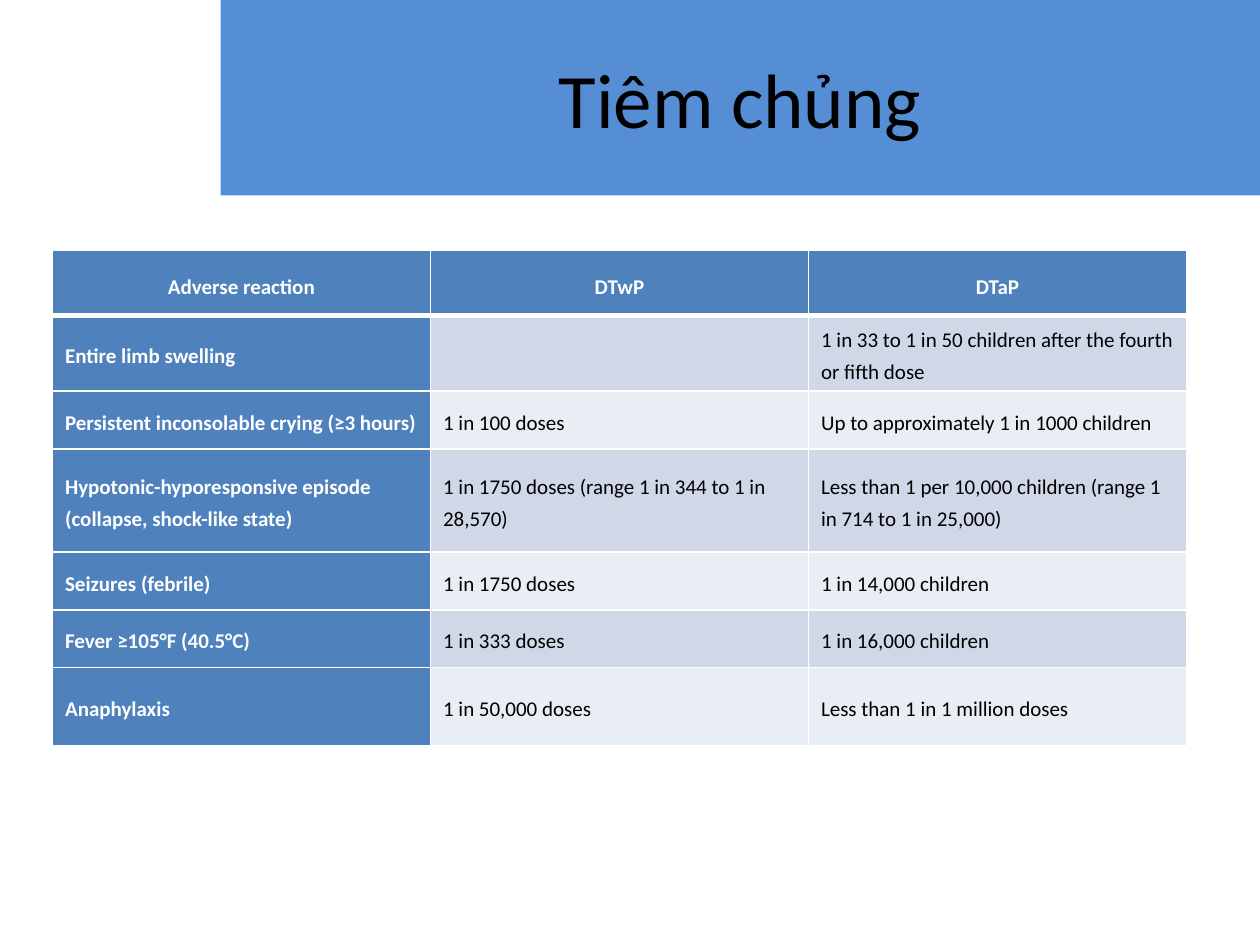
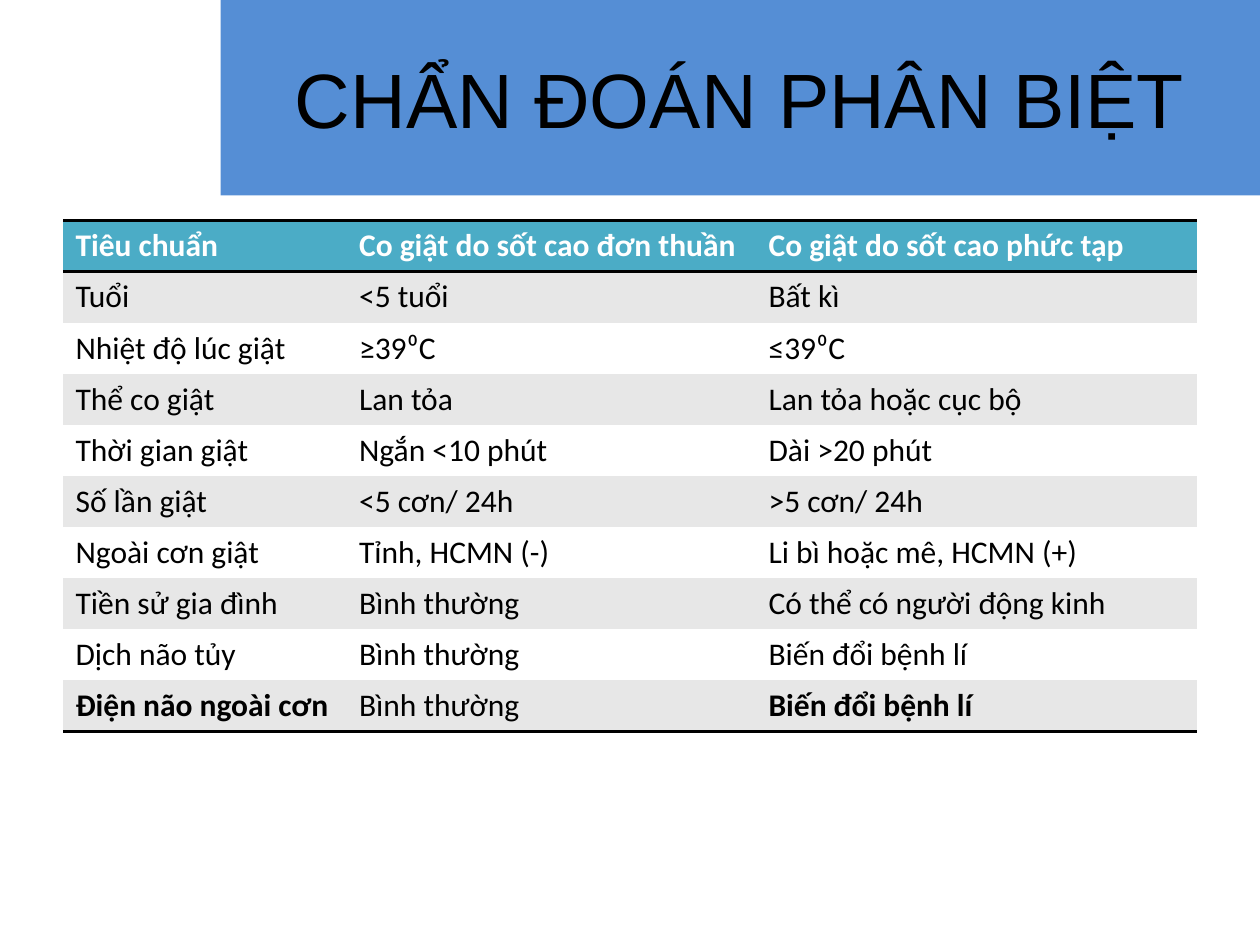
import pptx
import pptx.util
import pptx.dml.color
import pptx.enum.shapes
import pptx.enum.text
import pptx.oxml.ns
import lxml.etree

Pt = pptx.util.Pt
ALIGN = pptx.enum.text.PP_ALIGN
MIDDLE = pptx.enum.text.MSO_ANCHOR.MIDDLE
TOP = pptx.enum.text.MSO_ANCHOR.TOP

COLORS = {
    "band": "558ED5",
    "black": "000000",
    "white": "FFFFFF",
    "blue": "4F81BD",
    "blue_dark_row": "D0D8E8",
    "blue_light_row": "E9EDF4",
    "teal": "4BACC6",
    "gray_row": "E7E7E7",
}

TITLE_BOX = (126, 0, 594, 111.6)

REACTION_ROWS = [
    ("Adverse reaction", "DTwP", "DTaP"),
    ("Entire limb swelling", "",
     "1 in 33 to 1 in 50 children after the fourth or fifth dose"),
    ("Persistent inconsolable crying (≥3 hours)", "1 in 100 doses",
     "Up to approximately 1 in 1000 children"),
    ("Hypotonic-hyporesponsive episode (collapse, shock-like state)",
     "1 in 1750 doses (range 1 in 344 to 1 in 28,570)",
     "Less than 1 per 10,000 children (range 1 in 714 to 1 in 25,000)"),
    ("Seizures (febrile)", "1 in 1750 doses", "1 in 14,000 children"),
    ("Fever ≥105°F (40.5°C)", "1 in 333 doses", "1 in 16,000 children"),
    ("Anaphylaxis", "1 in 50,000 doses", "Less than 1 in 1 million doses"),
]

DIAGNOSIS_ROWS = [
    ("Tiêu chuẩn", "Co giật do sốt cao đơn thuần", "Co giật do sốt cao phức tạp"),
    ("Tuổi", "<5 tuổi", "Bất kì"),
    ("Nhiệt độ lúc giật", "≥39⁰C", "≤39⁰C"),
    ("Thể co giật", "Lan tỏa", "Lan tỏa hoặc cục bộ"),
    ("Thời gian giật", "Ngắn <10 phút", "Dài >20 phút"),
    ("Số lần giật", "<5 cơn/ 24h", ">5 cơn/ 24h"),
    ("Ngoài cơn giật", "Tỉnh, HCMN (-)", "Li bì hoặc mê, HCMN (+)"),
    ("Tiền sử gia đình", "Bình thường", "Có thể có người động kinh"),
    ("Dịch não tủy", "Bình thường", "Biến đổi bệnh lí"),
    ("Điện não ngoài cơn", "Bình thường", "Biến đổi bệnh lí"),
]


def rgb(name):
    return pptx.dml.color.RGBColor.from_string(COLORS[name])


def add_span(para, text, size, font="Calibri", color="black", bold=False):
    span = para.add_run()
    span.text = text
    span.font.size = Pt(size)
    span.font.name = font
    span.font.bold = bold
    span.font.color.rgb = rgb(color)


def add_title(page, box, text, font):
    band = page.shapes.add_shape(
        pptx.enum.shapes.MSO_SHAPE.RECTANGLE, *map(Pt, box))
    band.shadow.inherit = False
    band.fill.solid()
    band.fill.fore_color.rgb = rgb("band")
    band.line.fill.background()
    frame = band.text_frame
    frame.word_wrap = True
    frame.vertical_anchor = MIDDLE
    para = frame.paragraphs[0]
    para.alignment = ALIGN.CENTER
    add_span(para, text, 44, font)


def set_borders(cell, borders):
    """Draw the sides given as {side: (color, width)}; clear the others."""
    properties = cell._tc.get_or_add_tcPr()
    qn = pptx.oxml.ns.qn
    for side in "LRTB":
        line = lxml.etree.SubElement(properties, qn("a:ln" + side))
        if side in borders:
            color, width = borders[side]
            line.set("w", str(int(Pt(width))))
            fill = lxml.etree.SubElement(line, qn("a:solidFill"))
            lxml.etree.SubElement(fill, qn("a:srgbClr")).set("val", COLORS[color])
        else:
            line.set("w", "0")
            lxml.etree.SubElement(line, qn("a:noFill"))


def add_grid(page, box, widths, heights, rows):
    """Add an unstyled table and return it."""
    table = page.shapes.add_table(
        len(rows), len(widths), *map(Pt, box), sum(map(Pt, widths)),
        sum(map(Pt, heights))).table
    table.first_row = False
    table.horz_banding = False
    for column, width in zip(table.columns, widths):
        column.width = Pt(width)
    for row, height in zip(table.rows, heights):
        row.height = Pt(height)
    return table


def fill_cell(cell, text, size, fill, borders, color, bold, anchor):
    """Style one cell and return its paragraph."""
    set_borders(cell, borders)
    cell.fill.solid()
    cell.fill.fore_color.rgb = rgb(fill)
    cell.vertical_anchor = anchor
    para = cell.text_frame.paragraphs[0]
    if text:
        add_span(para, text, size, color=color, bold=bold)
    else:
        para.font.size = Pt(size)
    return para


def add_reaction_table(page, box):
    heights = [37.5, 42.5, 33, 59, 33, 33, 44.5]
    table = add_grid(page, box, [216] * 3, heights, REACTION_ROWS)
    for r, texts in enumerate(REACTION_ROWS):
        for c, text in enumerate(texts):
            heading = r == 0 or c == 0
            band = "blue_dark_row" if r % 2 else "blue_light_row"
            borders = dict.fromkeys("LRTB", ("white", 1))
            if r < 2:
                borders["T" if r else "B"] = ("white", 3)
            cell = table.cell(r, c)
            para = fill_cell(cell, text, 12, "blue" if heading else band, borders,
                             "white" if heading else "black", heading, MIDDLE)
            para.line_spacing = Pt(18)
            if r == 0:
                para.alignment = ALIGN.CENTER
                cell.margin_top = Pt(5.76)


def add_diagnosis_table(page, box):
    last = len(DIAGNOSIS_ROWS) - 1
    table = add_grid(page, box, [162, 234, 252], [29.2] * (last + 1), DIAGNOSIS_ROWS)
    rule = ("black", 2)
    for r, texts in enumerate(DIAGNOSIS_ROWS):
        borders = {}
        if r < 2:
            borders["T"] = rule
        if r in (0, last):
            borders["B"] = rule
        fill = "teal" if r == 0 else "gray_row" if r % 2 else "white"
        for c, text in enumerate(texts):
            bold = r == 0 or (r == last and c != 1)
            fill_cell(table.cell(r, c), text, 18, fill, borders,
                      "black" if r else "white", bold, TOP)


def main():
    deck = pptx.Presentation()
    deck.slide_width, deck.slide_height = Pt(720), Pt(540)
    blank = deck.slide_layouts[6]

    # Vaccination: adverse reactions
    page = deck.slides.add_slide(blank)
    add_title(page, TITLE_BOX, "Tiêm chủng", "Calibri")
    add_reaction_table(page, (30, 142.8))

    # Differential diagnosis
    page = deck.slides.add_slide(blank)
    add_title(page, TITLE_BOX, "CHẨN ĐOÁN PHÂN BIỆT", "Arial")
    add_diagnosis_table(page, (36, 126))

    deck.save("out.pptx")


if __name__ == "__main__":
    main()
